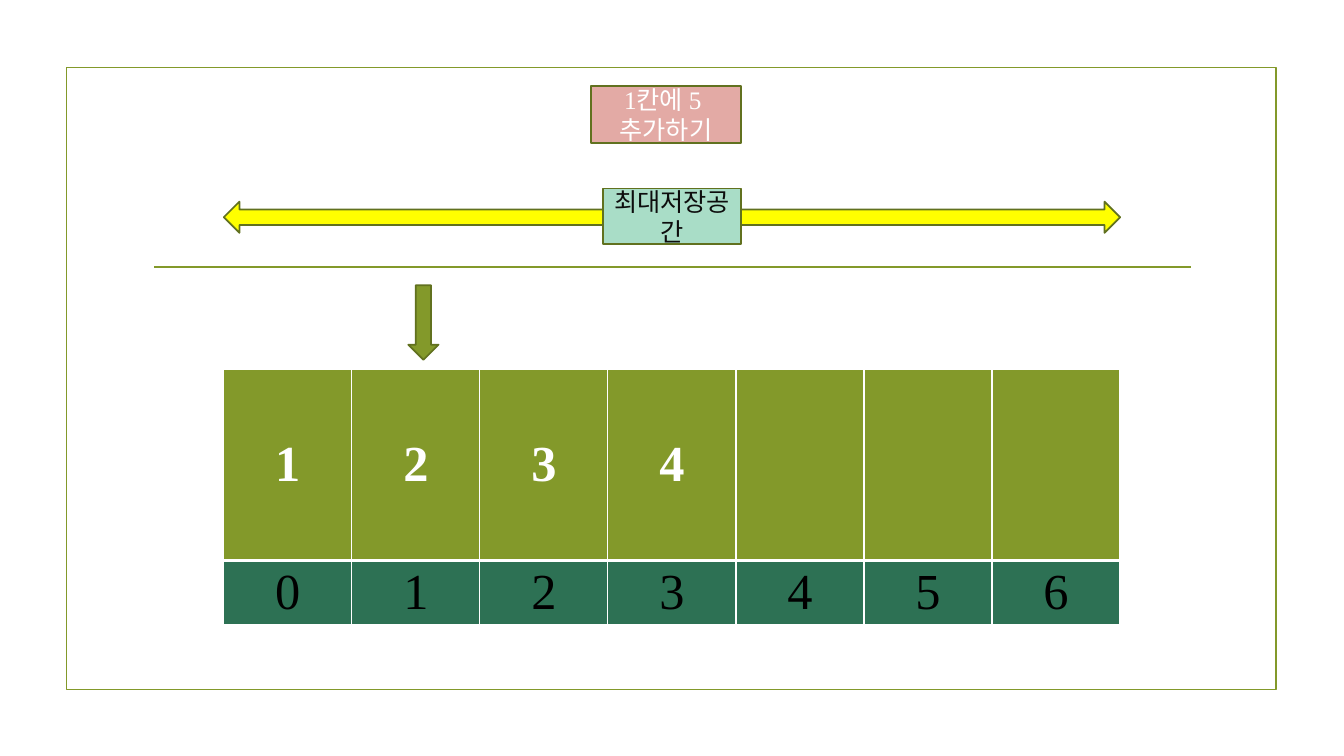
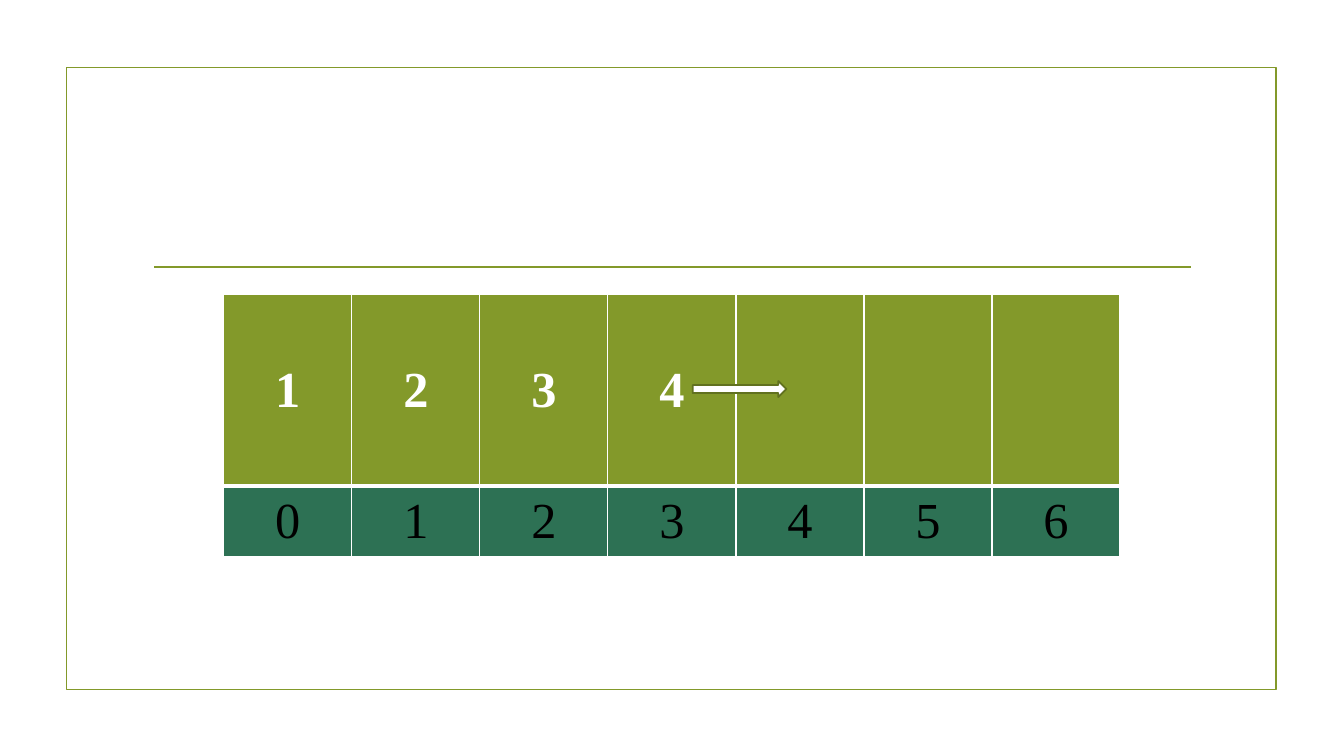
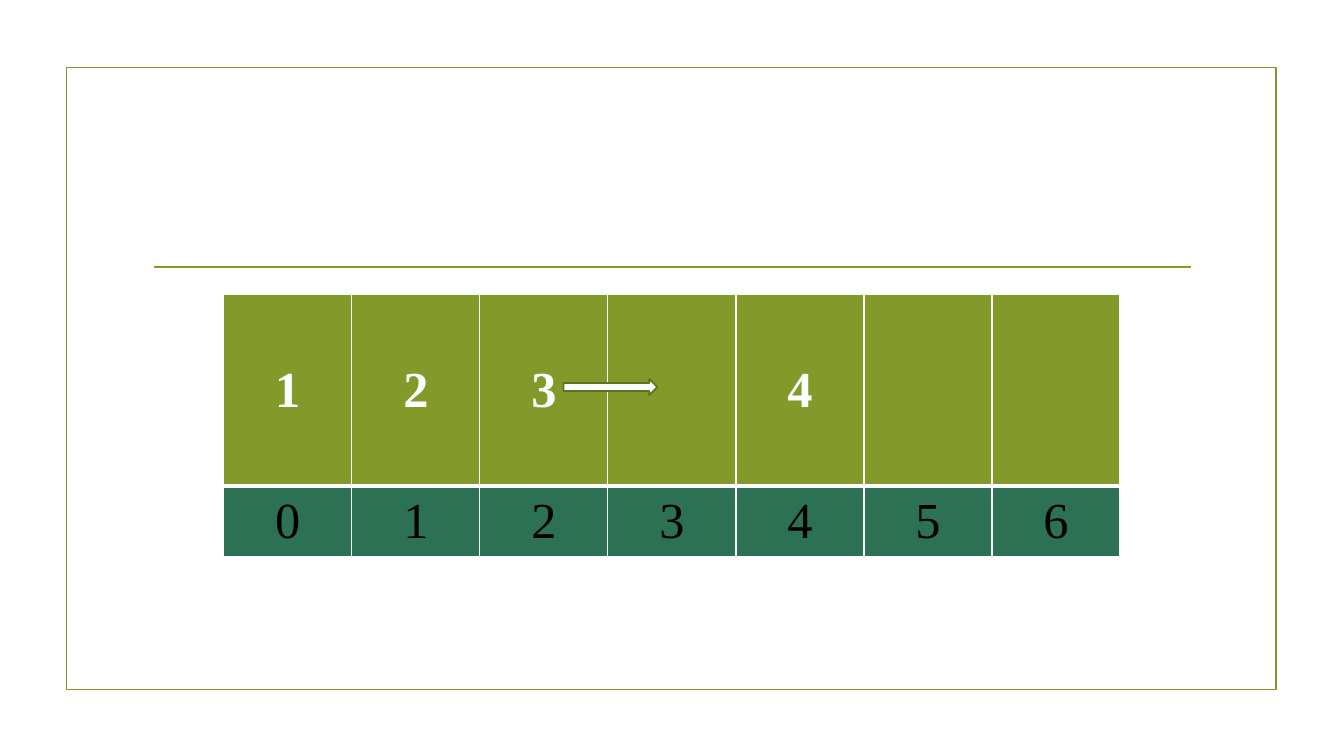
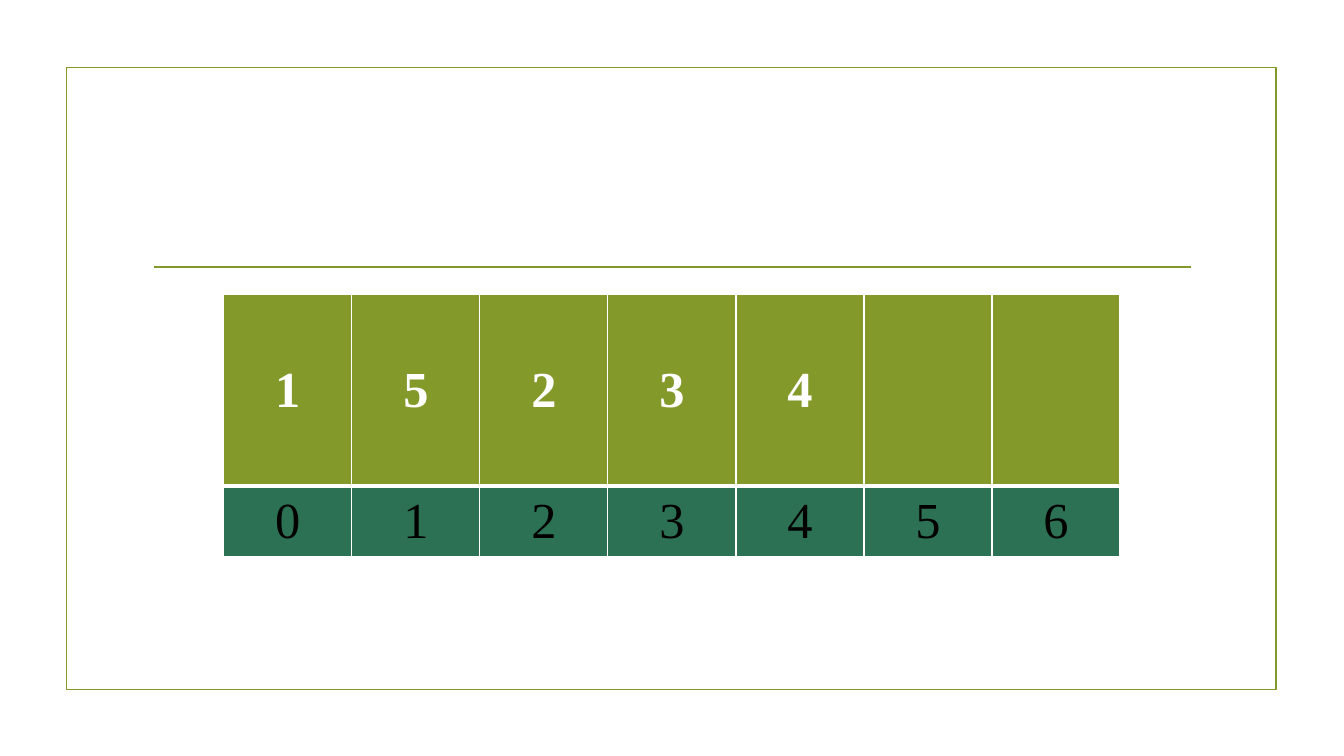
import pptx
import pptx.dml.color
import pptx.enum.shapes
import pptx.enum.text
import pptx.oxml.ns
import pptx.util
import lxml.etree

Inches = pptx.util.Inches
Shapes = pptx.enum.shapes.MSO_SHAPE
MIDDLE = pptx.enum.text.MSO_ANCHOR.MIDDLE
FONT = "Times New Roman"
COLORS = {
    "olive": "83992A",
    "dark_olive": "61711F",
    "green": "2D7154",
    "mint": "A9DDC7",
    "pink": "E3AAA5",
    "yellow": "FFFF00",
    "white": "FFFFFF",
    "black": "000000",
    "ink": "0D0D0D",
}
ARRAY_SIZE = 7
ARRAY_LEFT = 2.22
CELL_WIDTH = 1.27


def rgb(color):
    return pptx.dml.color.RGBColor.from_string(COLORS[color])


def write_text(text_frame, text, size=18, color="white", bold=False):
    text_frame.word_wrap = True
    for index, line in enumerate(text.split("\n")):
        paragraph = text_frame.add_paragraph() if index else text_frame.paragraphs[0]
        paragraph.alignment = pptx.enum.text.PP_ALIGN.CENTER
        run = paragraph.add_run()
        run.text = line
        run.font.name = FONT
        run.font.size = pptx.util.Pt(size)
        run.font.bold = bold
        run.font.color.rgb = rgb(color)


def set_borders(cell, **widths):
    properties = cell._tc.get_or_add_tcPr()
    for side in ("L", "R", "T", "B"):
        width = pptx.util.Pt(widths.get(side, 1))
        border = lxml.etree.SubElement(
            properties, pptx.oxml.ns.qn("a:ln" + side), w=str(width))
        fill = lxml.etree.SubElement(border, pptx.oxml.ns.qn("a:solidFill"))
        lxml.etree.SubElement(
            fill, pptx.oxml.ns.qn("a:srgbClr"), val=COLORS["white"])


class Deck:
    def __init__(self):
        self.presentation = pptx.Presentation()
        self.presentation.slide_width = Inches(13.33)
        self.presentation.slide_height = Inches(7.5)
        self.slide = None

    def new_slide(self):
        layout = self.presentation.slide_layouts[6]
        self.slide = self.presentation.slides.add_slide(layout)
        self.shape(Shapes.RECTANGLE, 0.66, 0.67, 12, 6.17, line="olive")
        self.rule(1.53, 11.81, 2.65)

    def shape(self, kind, left, top, width, height, fill=None,
              line="dark_olive", text=None, text_color="white", rotation=0):
        shape = self.slide.shapes.add_shape(
            kind, Inches(left), Inches(top), Inches(width), Inches(height))
        shape.shadow.inherit = False
        shape.rotation = rotation
        if fill:
            shape.fill.solid()
            shape.fill.fore_color.rgb = rgb(fill)
        else:
            shape.fill.background()
        shape.line.color.rgb = rgb(line)
        shape.line.width = pptx.util.Pt(1.25)
        if text:
            shape.text_frame.vertical_anchor = MIDDLE
            write_text(shape.text_frame, text, color=text_color)

    def rule(self, left, right, top):
        connector = self.slide.shapes.add_connector(
            pptx.enum.shapes.MSO_CONNECTOR.STRAIGHT,
            Inches(left), Inches(top), Inches(right), Inches(top))
        connector.line.color.rgb = rgb("olive")
        connector.line.width = pptx.util.Pt(1.25)
        lxml.etree.SubElement(
            connector._element.spPr, pptx.oxml.ns.qn("a:effectLst"))

    def cell(self, cell, text, fill, color, bold, **borders):
        set_borders(cell, **borders)
        cell.fill.solid()
        cell.fill.fore_color.rgb = rgb(fill)
        cell.vertical_anchor = MIDDLE
        cell.margin_top = cell.margin_bottom = Inches(0.03)
        if text:
            write_text(cell.text_frame, text, size=36, color=color, bold=bold)

    def array(self, values, top=2.92, value_height=1.9, index_height=0.7):
        table = self.slide.shapes.add_table(
            2, ARRAY_SIZE, Inches(ARRAY_LEFT), Inches(top),
            Inches(CELL_WIDTH * ARRAY_SIZE),
            Inches(value_height + index_height)).table
        table.first_row = table.horz_banding = False
        table.rows[0].height = Inches(value_height)
        table.rows[1].height = Inches(index_height)
        for index, value in enumerate(values):
            table.columns[index].width = Inches(CELL_WIDTH)
            self.cell(table.cell(0, index), value.strip(),
                      "olive", "white", True, B=3)
            self.cell(table.cell(1, index), str(index),
                      "green", "black", False, T=3)

    def move_arrow(self, left, top):
        self.shape(Shapes.RIGHT_ARROW, left, top, 0.93, 0.16, fill="white")


def main():
    deck = Deck()

    deck.new_slide()
    deck.array("1234   ", top=3.66, index_height=0.64)
    for left, rotation in ((ARRAY_LEFT, 0), (7.35, 180)):
        deck.shape(Shapes.LEFT_ARROW, left, 2, 3.76, 0.31,
                   fill="yellow", rotation=rotation)
    deck.shape(Shapes.RECTANGLE, 5.98, 1.87, 1.37, 0.55, fill="mint",
               text="최대저장공간", text_color="ink")
    deck.shape(Shapes.DOWN_ARROW, 4.05, 2.83, 0.3, 0.74, fill="olive")
    deck.shape(Shapes.RECTANGLE, 5.86, 0.85, 1.49, 0.57, fill="pink",
               text="1칸에 5 \n추가하기")

    deck.new_slide()
    deck.array("1234   ")
    deck.move_arrow(6.87, 3.78)

    deck.new_slide()
    deck.array("123 4  ")
    deck.move_arrow(5.59, 3.76)

    deck.new_slide()
    deck.array("15234  ")

    deck.presentation.save("out.pptx")


if __name__ == "__main__":
    main()
